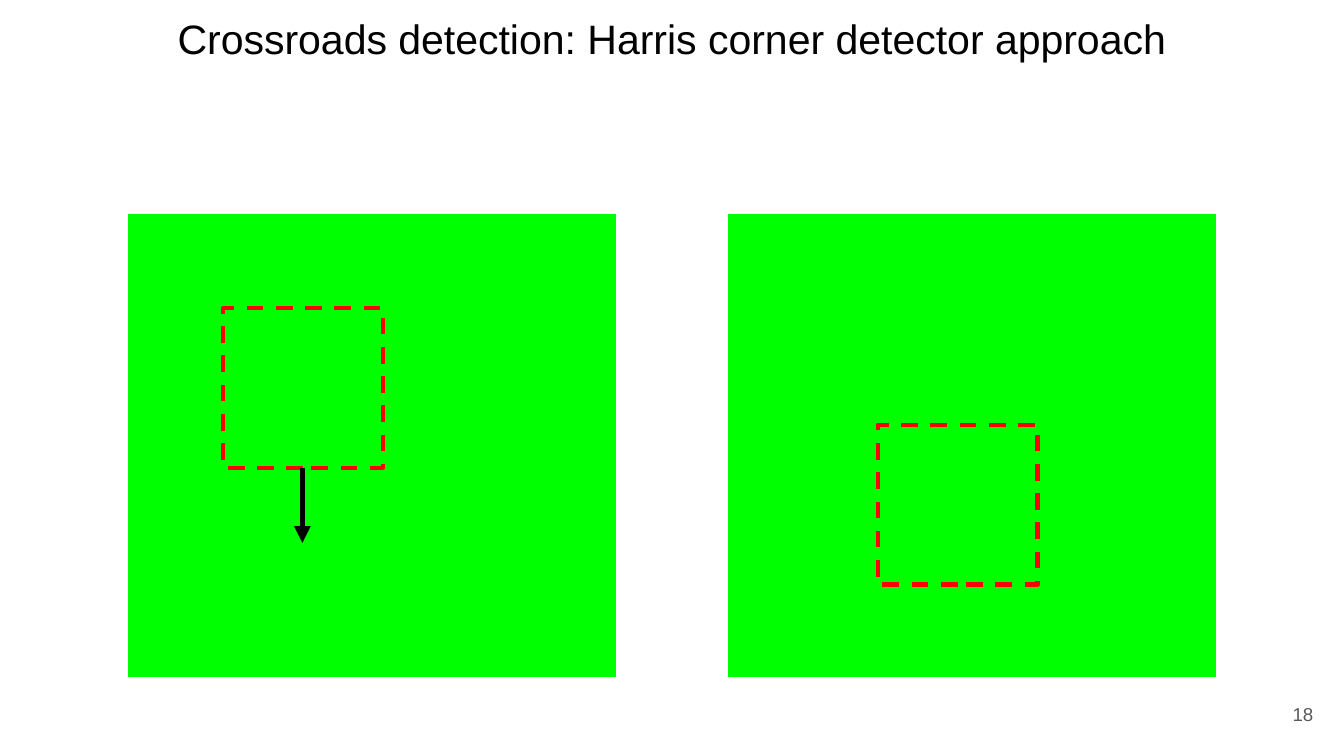
from lxml.etree import SubElement
from pptx import Presentation
from pptx.dml.color import RGBColor
from pptx.enum.dml import MSO_LINE_DASH_STYLE as DASH
from pptx.enum.shapes import MSO_CONNECTOR as CONNECTOR, MSO_SHAPE as SHAPE
from pptx.enum.text import MSO_ANCHOR as ANCHOR, PP_ALIGN as ALIGN
from pptx.oxml.ns import qn
from pptx.util import Inches, Pt


def color(value):
    return RGBColor.from_string(value)


def write(box, texts, size, ink, align, anchor):
    frame = box.text_frame
    frame.word_wrap = True
    frame.vertical_anchor = anchor
    frame.margin_left = frame.margin_right = Inches(0.1)
    frame.margin_top = frame.margin_bottom = Inches(0.1)
    para = frame.paragraphs[0]
    para.alignment = align
    para.line_spacing = 1.0
    para.space_before = Pt(0)
    for text in texts:
        span = para.add_run()
        span.text = text
        span.font.name = "Arial"
        span.font.size = Pt(size)
        span.font.color.rgb = color(ink)


deck = Presentation()
deck.slide_width = Inches(10)
deck.slide_height = Inches(10) * 9 // 16
page = deck.slides.add_slide(deck.slide_layouts[5])

title = page.shapes.title
title.left, title.top = Inches(0.95), Inches(0)
title.width, title.height = Inches(8.1), Inches(0.57)
write(title, ["Crossroads detection: ", "Harris corner detector approach"],
      22, "000000", ALIGN.CENTER, ANCHOR.TOP)

panel_top, panel_width, panel_height = 1.59, 3.64, 3.45
window_size = 1.19
for panel_left, window_left, window_top in [(0.95, 1.66, 2.29), (5.41, 6.53, 3.16)]:
    panel = page.shapes.add_shape(SHAPE.RECTANGLE, Inches(panel_left), Inches(panel_top),
                                  Inches(panel_width), Inches(panel_height))
    panel.shadow.inherit = False
    panel.fill.solid()
    panel.fill.fore_color.rgb = color("00FF00")
    panel.line.color.rgb = color("FFFFFF")
    panel.line.width = Pt(0.75)

    window = page.shapes.add_shape(SHAPE.RECTANGLE, Inches(window_left), Inches(window_top),
                                   Inches(window_size), Inches(window_size))
    window.shadow.inherit = False
    window.fill.background()
    window.line.color.rgb = color("FF0000")
    window.line.width = Pt(2.25)
    window.line.dash_style = DASH.DASH

arrow = page.shapes.add_connector(CONNECTOR.STRAIGHT, Inches(2.25), Inches(3.48),
                                  Inches(2.25), Inches(4.04))
arrow.line.color.rgb = color("000000")
arrow.line.width = Pt(3)
SubElement(arrow.line._get_or_add_ln(), qn("a:tailEnd"), type="triangle")
SubElement(arrow._element.spPr, qn("a:effectLst"))

number = page.shapes.add_textbox(Inches(9.27), Inches(5.1), Inches(0.6), Inches(0.43))
write(number, ["18"], 10, "595959", ALIGN.RIGHT, ANCHOR.MIDDLE)

deck.save("out.pptx")
